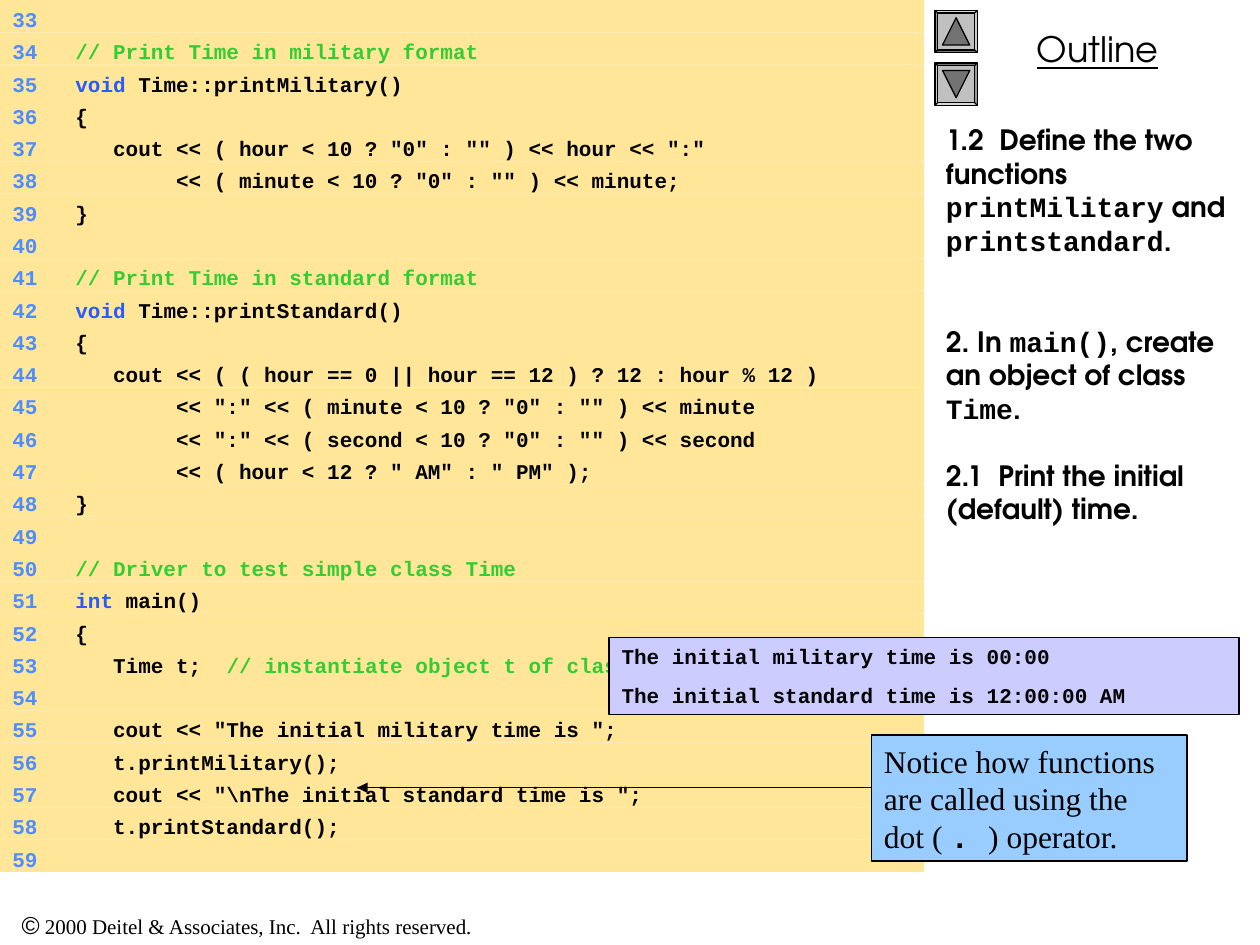
from lxml import etree
from pptx import Presentation
from pptx.dml.color import RGBColor
from pptx.enum.shapes import MSO_CONNECTOR, MSO_SHAPE
from pptx.enum.text import MSO_ANCHOR, MSO_AUTO_SIZE, PP_ALIGN
from pptx.oxml.ns import qn
from pptx.util import Cm, Pt

RECTANGLE = MSO_SHAPE.RECTANGLE
BEVEL = MSO_SHAPE.BEVEL
TRIANGLE = MSO_SHAPE.ISOSCELES_TRIANGLE
STRAIGHT = MSO_CONNECTOR.STRAIGHT
TOP = MSO_ANCHOR.TOP
FIXED = MSO_AUTO_SIZE.NONE
LEFT, CENTER = PP_ALIGN.LEFT, PP_ALIGN.CENTER

MONO, SERIF, SANS, SYMBOL = "Courier New", "Times New Roman", "TeX Gyre Adventor", "Arial"
BLACK = "000000"
KEYWORDS = ("void", "int")

FIRST_LINE = 33
CODE = r'''
// Print Time in military format
void Time::printMilitary()
{
   cout << ( hour < 10 ? "0" : "" ) << hour << ":"
        << ( minute < 10 ? "0" : "" ) << minute;
}

// Print Time in standard format
void Time::printStandard()
{
   cout << ( ( hour == 0 || hour == 12 ) ? 12 : hour % 12 )
        << ":" << ( minute < 10 ? "0" : "" ) << minute
        << ":" << ( second < 10 ? "0" : "" ) << second
        << ( hour < 12 ? " AM" : " PM" );
}

// Driver to test simple class Time
int main()
{
   Time t;  // instantiate object t of class Time

   cout << "The initial military time is ";
   t.printMilitary();
   cout << "\nThe initial standard time is ";
   t.printStandard();
'''.split("\n")


def rgb(value):
    return RGBColor.from_string(value)


def code_tokens(line):
    """Split a code line into (text, colour) pairs."""
    code, slashes, comment = line.partition("//")
    first_word = code.split(" ")[0]
    keyword = first_word if first_word in KEYWORDS else ""
    tokens = [(keyword, "275AFF"), (code[len(keyword):], BLACK), (slashes + comment, "33CC33")]
    return [token for token in tokens if token[0]]


class CodeSlide:
    def __init__(self, slide):
        self.slide = slide
        self.shapes = slide.shapes

    def place(self, shape, left, top, width, height):
        shape.left, shape.top = Cm(left), Cm(top)
        shape.width, shape.height = Cm(width), Cm(height)

    def frame(self, shape, bottom=0.13):
        text_frame = shape.text_frame
        text_frame.word_wrap = True
        text_frame.auto_size = FIXED
        text_frame.vertical_anchor = TOP
        text_frame.margin_left = text_frame.margin_right = Cm(0.25)
        text_frame.margin_top, text_frame.margin_bottom = Cm(0.13), Cm(bottom)
        return text_frame

    def fill_paragraph(self, paragraph, runs, size, align=LEFT, before=0, tab=None):
        """Fill a paragraph with (text, font, colour, bold) runs."""
        paragraph.alignment = align
        paragraph.space_before = Pt(before)
        properties = paragraph._p.get_or_add_pPr()
        properties.set("marL", "0")
        properties.set("indent", "0")
        etree.SubElement(properties, qn("a:buNone"))
        if tab:
            stops = etree.SubElement(properties, qn("a:tabLst"))
            etree.SubElement(stops, qn("a:tab"), pos=str(Cm(tab)), algn="l")
        for text, face, color, bold in runs:
            run = paragraph.add_run()
            run.text = text
            run.font.name, run.font.size, run.font.bold = face, Pt(size), bold
            run.font.color.rgb = rgb(color)

    def shape(self, kind, left, top, width, height, fill, line=None):
        shape = self.shapes.add_shape(kind, Cm(left), Cm(top), Cm(width), Cm(height))
        shape.shadow.inherit = False
        shape.fill.solid()
        shape.fill.fore_color.rgb = rgb(fill)
        if line:
            shape.line.color.rgb = rgb(line)
            shape.line.width = Pt(0.75)
        else:
            shape.line.fill.background()
        return shape

    def heading(self, text):
        title = self.shapes.title
        self.place(title, 18.85, 0.43, 6.55, 1.12)
        paragraph = self.frame(title).paragraphs[0]
        self.fill_paragraph(paragraph, [(text, SANS, BLACK, False)], 20, CENTER)
        paragraph.runs[0].font.underline = True

    def steps(self, items):
        """Add (space before, text pieces) items; every second piece is code."""
        body = self.slide.placeholders[1]
        self.place(body, 18.82, 2.34, 6.58, 16.71)
        text_frame = self.frame(body)
        for index, (before, pieces) in enumerate(items):
            paragraph = text_frame.add_paragraph() if index else text_frame.paragraphs[0]
            runs = [(piece, (SANS, MONO)[i % 2], BLACK, True) for i, piece in enumerate(pieces)]
            self.fill_paragraph(paragraph, runs, 16, before=before)

    def button(self, top, bevel_angle, arrow_angle):
        bevel = self.shape(BEVEL, 18.85, top, 0.85, 0.85, "C0C0C0", BLACK)
        bevel.adjustments[0] = 0.06
        bevel.rotation = bevel_angle
        arrow = self.shape(TRIANGLE, 19.0, top + 0.15, 0.55, 0.55, "737373", BLACK)
        arrow.rotation = arrow_angle

    def code(self, lines, pitch=0.651):
        for index, line in enumerate(lines):
            row = self.shape(RECTANGLE, 0, index * pitch, 18.63, pitch, "FFE699")
            tokens = [(f"{FIRST_LINE + index}\t", "4D8DFF")] + code_tokens(line)
            runs = [(text, MONO, color, True) for text, color in tokens]
            self.fill_paragraph(self.frame(row, bottom=0).paragraphs[0], runs, 12, tab=0.81)

    def callout(self, runs):
        box = self.shape(RECTANGLE, 17.57, 14.82, 6.36, 2.54, "99CCFF", BLACK)
        self.fill_paragraph(self.frame(box).paragraphs[0], runs, 18)

    def arrow(self, start, end, height):
        pointer = self.shapes.add_connector(STRAIGHT, Cm(start), Cm(height), Cm(end), Cm(height))
        pointer.line.color.rgb = rgb(BLACK)
        pointer.line.width = Pt(0.75)
        properties = pointer._element.spPr
        etree.SubElement(properties.find(qn("a:ln")), qn("a:tailEnd"), type="triangle")
        etree.SubElement(properties, qn("a:effectLst"))

    def output(self, lines):
        box = self.shape(RECTANGLE, 12.28, 12.85, 12.7, 1.55, "CCCCFF", BLACK)
        text_frame = self.frame(box)
        for index, line in enumerate(lines):
            paragraph = text_frame.add_paragraph() if index else text_frame.paragraphs[0]
            runs = [(line, MONO, BLACK, True)]
            self.fill_paragraph(paragraph, runs, 12, before=7.5 if index else 0)

    def footer(self, runs):
        box = self.shapes.add_textbox(Cm(0), Cm(18.21), Cm(9.96), Cm(0.86))
        paragraph = self.frame(box).paragraphs[0]
        self.fill_paragraph(paragraph, runs, 12, CENTER)
        paragraph.runs[0].font.size = Pt(14)


def main():
    deck = Presentation()
    deck.slide_width, deck.slide_height = Cm(25.4), Cm(19.05)
    page = CodeSlide(deck.slides.add_slide(deck.slide_layouts[1]))

    page.footer([
        ("©", SYMBOL, BLACK, False),
        (" 2000 Deitel & Associates, Inc.  All rights reserved.", SERIF, BLACK, False),
    ])
    page.heading("Outline")
    page.button(0.21, bevel_angle=90, arrow_angle=0)
    page.button(1.27, bevel_angle=270, arrow_angle=180)
    page.code(CODE)
    page.callout([
        ("Notice how functions are called using the dot ( ", SERIF, BLACK, False),
        (". ", MONO, BLACK, True),
        (") operator.", SERIF, BLACK, False),
    ])
    page.arrow(17.57, 7.2, 15.88)
    page.steps([
        (0, ["1.2  Define the two functions ", "printMilitary", " and ", "printstandard", "."]),
        (38.4, ["2. In ", "main()", ", create an object of class ", "Time", "."]),
        (19.2, ["2.1  Print the initial (default) time."]),
    ])
    page.output(["The initial military time is 00:00", "The initial standard time is 12:00:00 AM"])

    deck.save("out.pptx")


if __name__ == "__main__":
    main()
